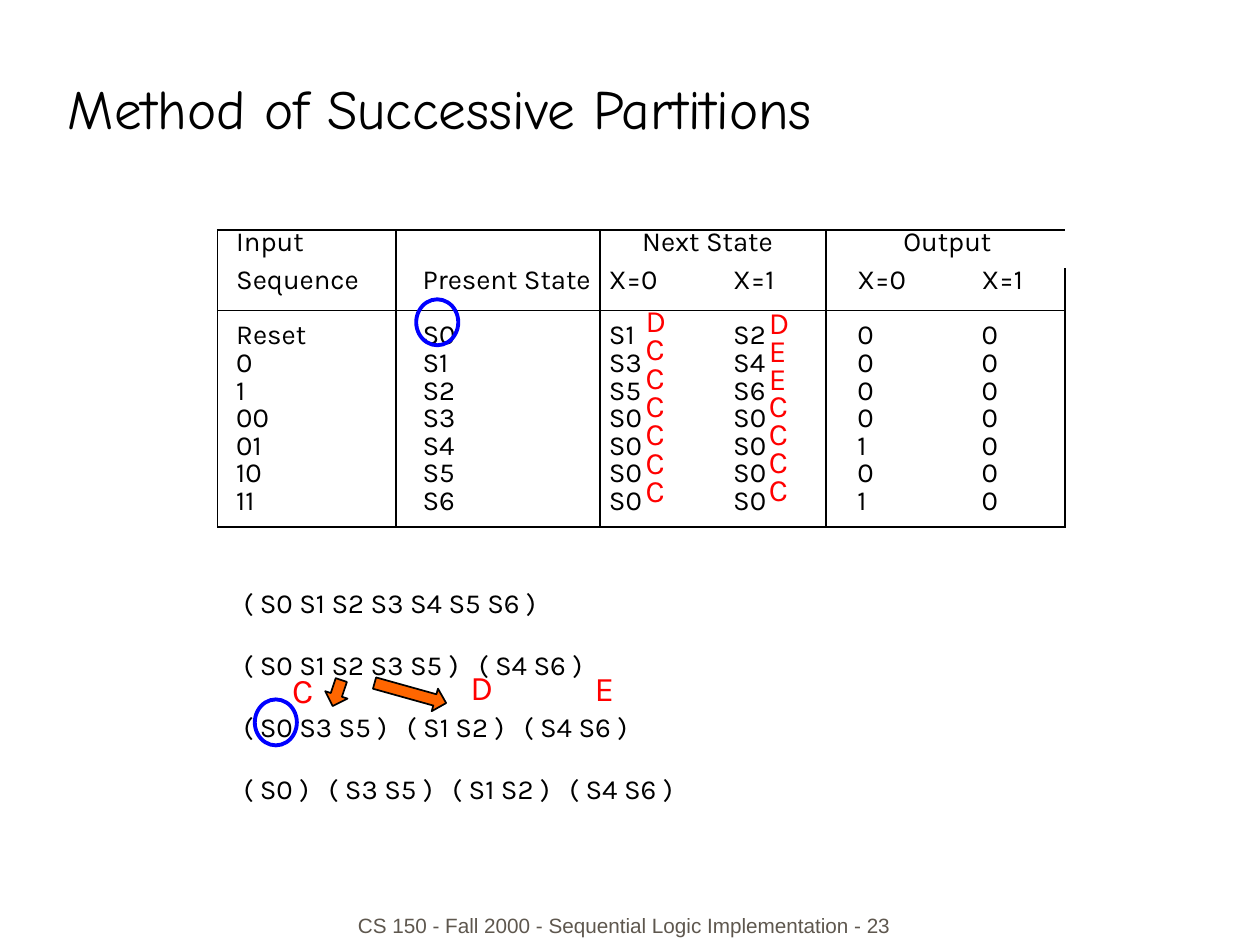
import pptx
import pptx.util
import pptx.oxml
import pptx.oxml.ns
import pptx.dml.color
import pptx.enum.shapes
import pptx.enum.text

Cm = pptx.util.Cm
Pt = pptx.util.Pt
Shape = pptx.enum.shapes.MSO_SHAPE
Anchor = pptx.enum.text.MSO_ANCHOR
Align = pptx.enum.text.PP_ALIGN
Fit = pptx.enum.text.MSO_AUTO_SIZE
DRAW = pptx.oxml.ns.nsdecls("a")


def paint(text):
    return pptx.dml.color.RGBColor.from_string(text)


class Maker:
    black = "000000"
    red = "FF0000"
    font = "Karla"

    def __init__(self, slide):
        self.slide = slide

    def style(self, para, size, color, font):
        for run in para.runs:
            run.font.size = Pt(size)
            run.font.name = font
            run.font.color.rgb = paint(color)

    def text(self, box, lines, size, color=black, font=font, inset=(0.25, 0.13),
             wrap=True, anchor=Anchor.TOP, align=Align.LEFT):
        item = self.slide.shapes.add_textbox(*map(Cm, box))
        frame = item.text_frame
        frame.text = "\n".join(lines)
        frame.word_wrap = wrap
        frame.vertical_anchor = anchor
        frame.margin_left = frame.margin_right = Cm(inset[0])
        frame.margin_top = frame.margin_bottom = Cm(inset[1])
        for para in frame.paragraphs:
            para.alignment = align
            self.style(para, size, color, font)
        return frame

    def mark(self, left, top, letter, size):
        width = {"C": 0.89, "D": 0.97, "E": 0.88}[letter] * size / 18
        frame = self.text((left, top, width, size * 0.056), [letter], size,
                          self.red, wrap=False)
        frame.auto_size = Fit.SHAPE_TO_FIT_TEXT

    def tabs(self, para, stops):
        props = para._p.get_or_add_pPr()
        marks = "".join(f'<a:tab pos="{Cm(stop)}" algn="l"/>' for stop in stops)
        props.append(pptx.oxml.parse_xml(f"<a:tabLst {DRAW}>{marks}</a:tabLst>"))

    def shape(self, kind, box, line, weight, fill=None, turn=0):
        item = self.slide.shapes.add_shape(kind, *map(Cm, box))
        item.shadow.inherit = False
        item.rotation = turn
        item.line.color.rgb = paint(line)
        item.line.width = Pt(weight)
        if fill:
            item.fill.solid()
            item.fill.fore_color.rgb = paint(fill)
        else:
            item.fill.background()

    def edge(self, cell, sides):
        props = cell._tc.get_or_add_tcPr()
        for place, side in enumerate("LRTB"):
            body = "<a:noFill/>"
            if side in sides:
                body = f'<a:solidFill><a:srgbClr val="{self.black}"/></a:solidFill>'
            props.insert(place, pptx.oxml.parse_xml(
                f'<a:ln{side} {DRAW} w="{Pt(1)}">{body}</a:ln{side}>'))

    def table(self, left, top, widths, heights, rows, pads, bars, rules):
        table = self.slide.shapes.add_table(
            len(rows), len(widths), Cm(left), Cm(top),
            Cm(sum(widths)), Cm(sum(heights))).table
        table.first_row = table.horz_banding = False
        for col, width in zip(table.columns, widths):
            col.width = Cm(width)
        for down, (height, row) in enumerate(zip(heights, rows)):
            table.rows[down].height = Cm(height)
            for across, words in enumerate(row):
                cell = table.cell(down, across)
                cell.text = words
                cell.margin_left = Cm(pads[across])
                cell.margin_right = cell.margin_bottom = 0
                cell.margin_top = Cm(0.02 if down < 2 else 0)
                cell.vertical_anchor = Anchor.BOTTOM if down == 2 else Anchor.TOP
                cell.fill.background()
                para = cell.text_frame.paragraphs[0]
                para.line_spacing = Pt(16)
                self.style(para, 16, self.black, self.font)
                near = {"L": across in bars, "R": across + 1 in bars,
                        "T": down in rules, "B": down + 1 in rules}
                self.edge(cell, [side for side in near if near[side]])
        return table


def main():
    deck = pptx.Presentation()
    deck.slide_width, deck.slide_height = Cm(25.76), Cm(19.3)
    make = Maker(deck.slides.add_slide(deck.slide_layouts[6]))

    make.text((1.14, 0.64, 21.9, 2.36), ["Method of Successive Partitions"], 32,
              font="Comic Neue", anchor=Anchor.BOTTOM)
    make.text((6.58, 18.01, 12.37, 1.3),
              ["CS 150 - Fall 2000 - Sequential Logic Implementation - 23"], 12,
              "5E574E", "Arial", anchor=Anchor.BOTTOM, align=Align.CENTER)

    rows = [
        ("Input", "", "Next State", "", "Output", ""),
        ("Sequence", "Present State", "X=0", "X=1", "X=0", "X=1"),
        ("Reset", "S0", "S1", "S2", "0", "0"),
        ("0", "S1", "S3", "S4", "0", "0"),
        ("1", "S2", "S5", "S6", "0", "0"),
        ("00", "S3", "S0", "S0", "0", "0"),
        ("01", "S4", "S0", "S0", "1", "0"),
        ("10", "S5", "S0", "S0", "0", "0"),
        ("11", "S6", "S0", "S0", "1", "0"),
    ]
    table = make.table(
        4.45, 4.7, (3.65, 4.17, 2.54, 2.08, 2.92, 1.96),
        (0.58, 0.87, 0.84) + (0.56,) * 5 + (0.76,), rows,
        (0.38, 0.54, 0.18, 0.18, 0.64, 0.26), (0, 1, 2, 4, 6), (0, 2, 9))
    for first, pad in ((2, 0.86), (4, 1.58)):
        head = table.cell(0, first)
        head.merge(table.cell(0, first + 1))
        head.margin_left = Cm(pad)

    groups = [
        ("( S0 S1 S2 S3 S4 S5 S6 )", ()),
        ("( S0 S1 S2 S3 S5 )\t( S4 S6 )", (4.81,)),
        ("( S0 S3 S5 )\t( S1 S2 )\t( S4 S6 )", (3.34, 5.73)),
        ("( S0 )\t( S3 S5 )\t( S1 S2 )\t( S4 S6 )", (1.74, 4.27, 6.66)),
    ]
    frame = make.text((4.93, 11.51, 15.54, 5.99), [words for words, stops in groups],
                      16, inset=(0.05, 0.08))
    for step, (para, (words, stops)) in enumerate(zip(frame.paragraphs, groups)):
        para.line_spacing = Pt(30)
        para.space_before = Pt(6 if step else 0)
        if stops:
            make.tabs(para, stops)

    for box, turn in (((6.65, 13.89, 0.48, 0.56), 18.5),
                      ((8.15, 13.41, 0.48, 1.52), 285.6)):
        make.shape(Shape.DOWN_ARROW, box, make.black, 1, "FF6600", turn)

    for left, top, letter in ((5.72, 13.54, "C"), (9.37, 13.49, "D"), (11.91, 13.51, "E")):
        make.mark(left, top, letter, 20)
    for left, top, gap, letters in ((12.95, 6.03, 0.58, "DCCCCCC"),
                                    (15.47, 6.07, 0.57, "DEECCCC")):
        for step, letter in enumerate(letters):
            make.mark(left, top + step * gap, letter, 18)

    for left, top in ((5.21, 14.3), (8.51, 6.12)):
        make.shape(Shape.OVAL, (left, top, 0.86, 0.94), "0000FF", 2.25)

    deck.save("out.pptx")


if __name__ == "__main__":
    main()
